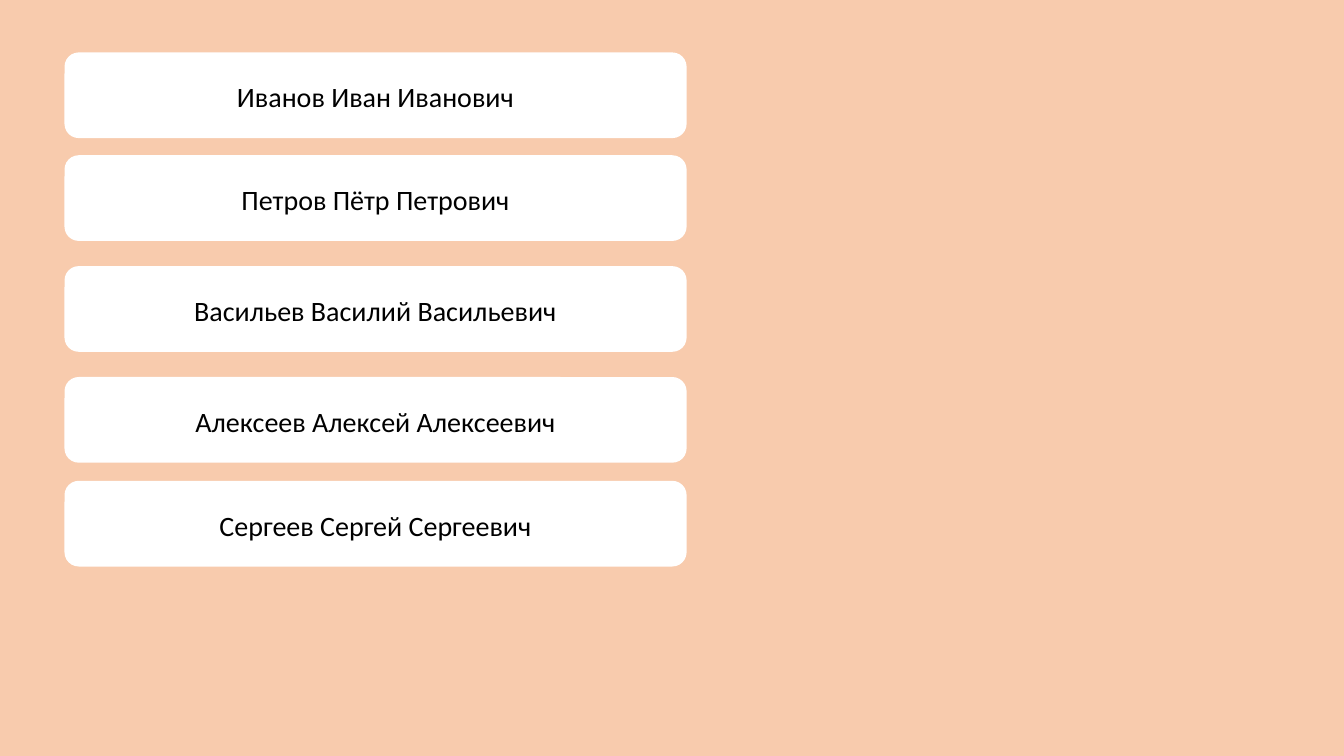
from dataclasses import dataclass

from pptx import Presentation
from pptx.dml.color import RGBColor
from pptx.enum.shapes import MSO_SHAPE
from pptx.enum.text import MSO_ANCHOR, PP_ALIGN
from pptx.util import Inches, Pt

RECT = MSO_SHAPE.RECTANGLE
ROUND = MSO_SHAPE.ROUNDED_RECTANGLE
MIDDLE = MSO_ANCHOR.MIDDLE
CENTER = PP_ALIGN.CENTER


@dataclass(frozen=True)
class Theme:
    peach: RGBColor = RGBColor(0xF8, 0xCB, 0xAD)
    white: RGBColor = RGBColor(0xFF, 0xFF, 0xFF)
    ink: RGBColor = RGBColor(0, 0, 0)
    font: str = "Calibri"
    size: int = 20


THEME = Theme()
WIDE, HIGH = 13.33, 7.5

# Card column in inches, and the top of each named card
LEFT, SPAN, TALL = 0.64, 6.17, 0.85
CARDS = {
    "Иванов Иван Иванович": 0.52,
    "Петров Пётр Петрович": 1.54,
    "Васильев Василий Васильевич": 2.64,
    "Алексеев Алексей Алексеевич": 3.74,
    "Сергеев Сергей Сергеевич": 4.77,
}


def style(item, form):
    for name, value in form.items():
        setattr(item, name, value)


def panel(slide, kind, box, color):
    shape = slide.shapes.add_shape(kind, *map(Inches, box))
    shape.shadow.inherit = False
    shape.fill.solid()
    shape.fill.fore_color.rgb = color
    shape.line.fill.background()
    return shape


def card(slide, name, top):
    shape = panel(slide, ROUND, (LEFT, top, SPAN, TALL), THEME.white)
    frame = shape.text_frame
    style(frame, {"word_wrap": True, "vertical_anchor": MIDDLE})
    para = frame.paragraphs[0]
    style(para, {"alignment": CENTER, "line_spacing": 1.07,
                 "space_after": Pt(8)})
    run = para.add_run()
    run.text = name
    style(run.font, {"name": THEME.font, "size": Pt(THEME.size)})
    run.font.color.rgb = THEME.ink


def main():
    deck = Presentation()
    style(deck, {"slide_width": Inches(WIDE), "slide_height": Inches(HIGH)})
    slide = deck.slides.add_slide(deck.slide_layouts[6])

    # Backdrop
    panel(slide, RECT, (0, 0, WIDE, HIGH), THEME.peach)

    # Name cards
    for name, top in CARDS.items():
        card(slide, name, top)

    deck.save("out.pptx")


if __name__ == "__main__":
    main()
